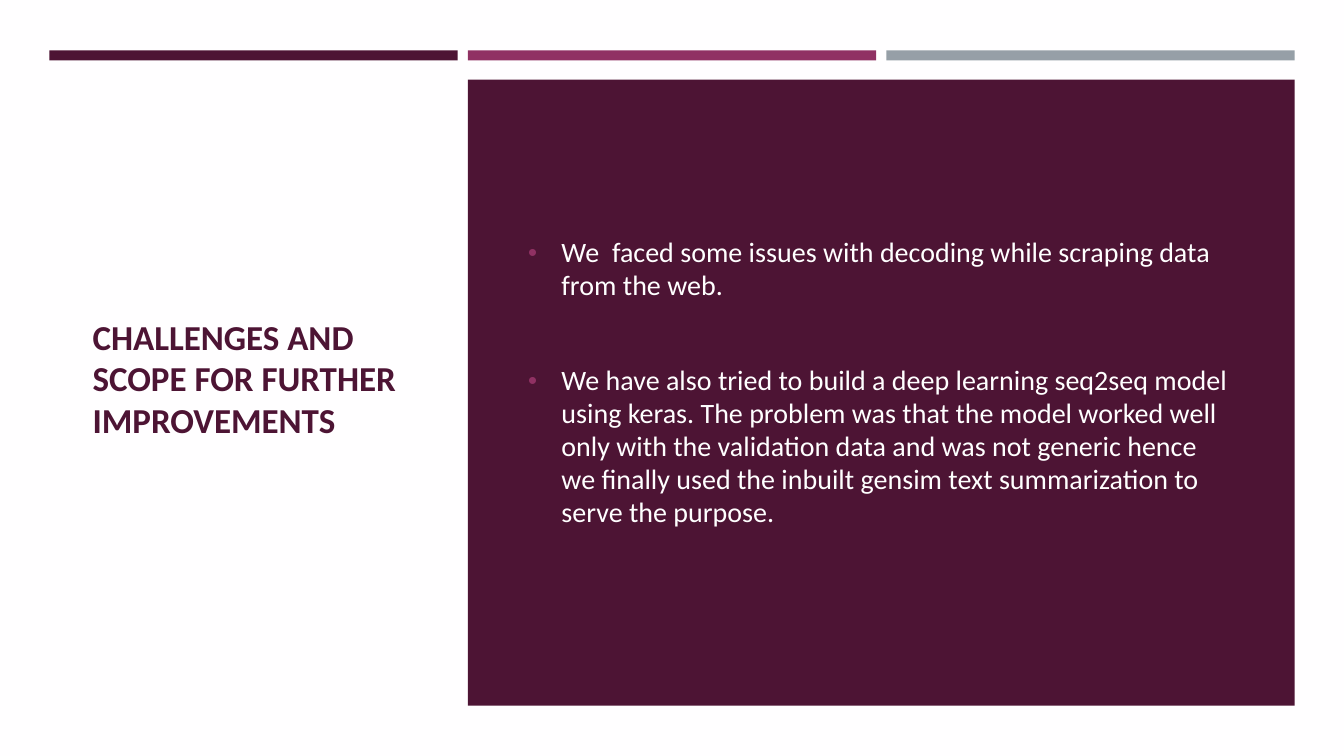
"""Build the slide on challenges and scope for further improvements."""
from dataclasses import dataclass

from lxml.etree import SubElement as Sub
from pptx import Presentation
from pptx.dml.color import RGBColor as Rgb
from pptx.enum.shapes import MSO_SHAPE as Form
from pptx.enum.text import MSO_ANCHOR as Anchor
from pptx.oxml.ns import qn
from pptx.slide import Slide
from pptx.util import Inches, Pt


@dataclass(frozen=True)
class Theme:
    paper: str = "FFFEFF"
    plum: str = "4D1434"
    rose: str = "903163"
    grey: str = "969FA7"
    white: str = "FFFFFF"
    font: str = "Calibri"
    head: int = 25
    body: int = 20


@dataclass(frozen=True)
class Box:
    left: float
    top: float
    width: float
    height: float

    def size(self) -> list[int]:
        return [Inches(n) for n in (self.left, self.top, self.width, self.height)]


@dataclass(frozen=True)
class Block:
    box: Box
    lines: tuple[str, ...]
    size: int
    color: str
    bold: bool = False
    pitch: float = 1.0
    gap: float = 0
    dot: str = ""


LOOK = Theme()
LEFT, GAP, BAR = 0.49, 0.1, 4.05
STEP = BAR + GAP

BARS = [
    (Box(LEFT + i * STEP, 0.5, BAR, 0.1), color)
    for i, color in enumerate((LOOK.plum, LOOK.rose, LOOK.grey))
]
PANEL = (Box(LEFT + STEP, 0.79, BAR + STEP, 6.21), LOOK.plum)

TITLE = Block(
    Box(0.82, 1.19, 3.34, 5.15),
    ("CHALLENGES AND SCOPE FOR FURTHER IMPROVEMENTS",),
    LOOK.head, LOOK.plum, bold=True, pitch=0.98,
)
NOTES = Block(
    Box(5.14, 1.22, 7.22, 5.15),
    (
        "We  faced some issues with decoding while scraping data from the web.",
        "We have also tried to build a deep learning seq2seq model using keras. "
        "The problem was that the model worked well only with the validation data "
        "and was not generic hence we finally used the inbuilt gensim text "
        "summarization to serve the purpose.",
    ),
    LOOK.body, LOOK.white, pitch=0.98, gap=44.7, dot=LOOK.rose,
)


def add_rect(slide: Slide, box: Box, color: str) -> None:
    rect = slide.shapes.add_shape(Form.RECTANGLE, *box.size())
    rect.shadow.inherit = False
    rect.fill.solid()
    rect.fill.fore_color.rgb = Rgb.from_string(color)
    rect.line.fill.background()


def add_dot(para, color: str) -> None:
    props = para._p.get_or_add_pPr()
    props.set("marL", str(Inches(0.33)))
    props.set("indent", str(-Inches(0.33)))
    Sub(Sub(props, qn("a:buClr")), qn("a:srgbClr"), val=color)
    Sub(props, qn("a:buSzPct"), val="92000")
    Sub(props, qn("a:buFont"), typeface="Arial")
    Sub(props, qn("a:buChar"), char="•")


def add_text(slide: Slide, block: Block) -> None:
    frame = slide.shapes.add_textbox(*block.box.size()).text_frame
    frame.word_wrap = True
    frame.vertical_anchor = Anchor.MIDDLE
    for i, line in enumerate(block.lines):
        para = frame.add_paragraph() if i else frame.paragraphs[0]
        para.line_spacing = block.pitch
        para.space_before = Pt(block.gap if i else 0)
        if block.dot:
            add_dot(para, block.dot)
        run = para.add_run()
        run.text = line
        style = {"name": LOOK.font, "size": Pt(block.size), "bold": block.bold}
        for key, value in style.items():
            setattr(run.font, key, value)
        run.font.color.rgb = Rgb.from_string(block.color)


def main() -> None:
    deck = Presentation()
    deck.slide_width, deck.slide_height = Inches(13.33), Inches(7.5)
    slide = deck.slides.add_slide(deck.slide_layouts[6])
    back = slide.background.fill
    back.solid()
    back.fore_color.rgb = Rgb.from_string(LOOK.paper)
    for box, color in (*BARS, PANEL):
        add_rect(slide, box, color)
    for block in (TITLE, NOTES):
        add_text(slide, block)
    deck.save("out.pptx")


if __name__ == "__main__":
    main()
